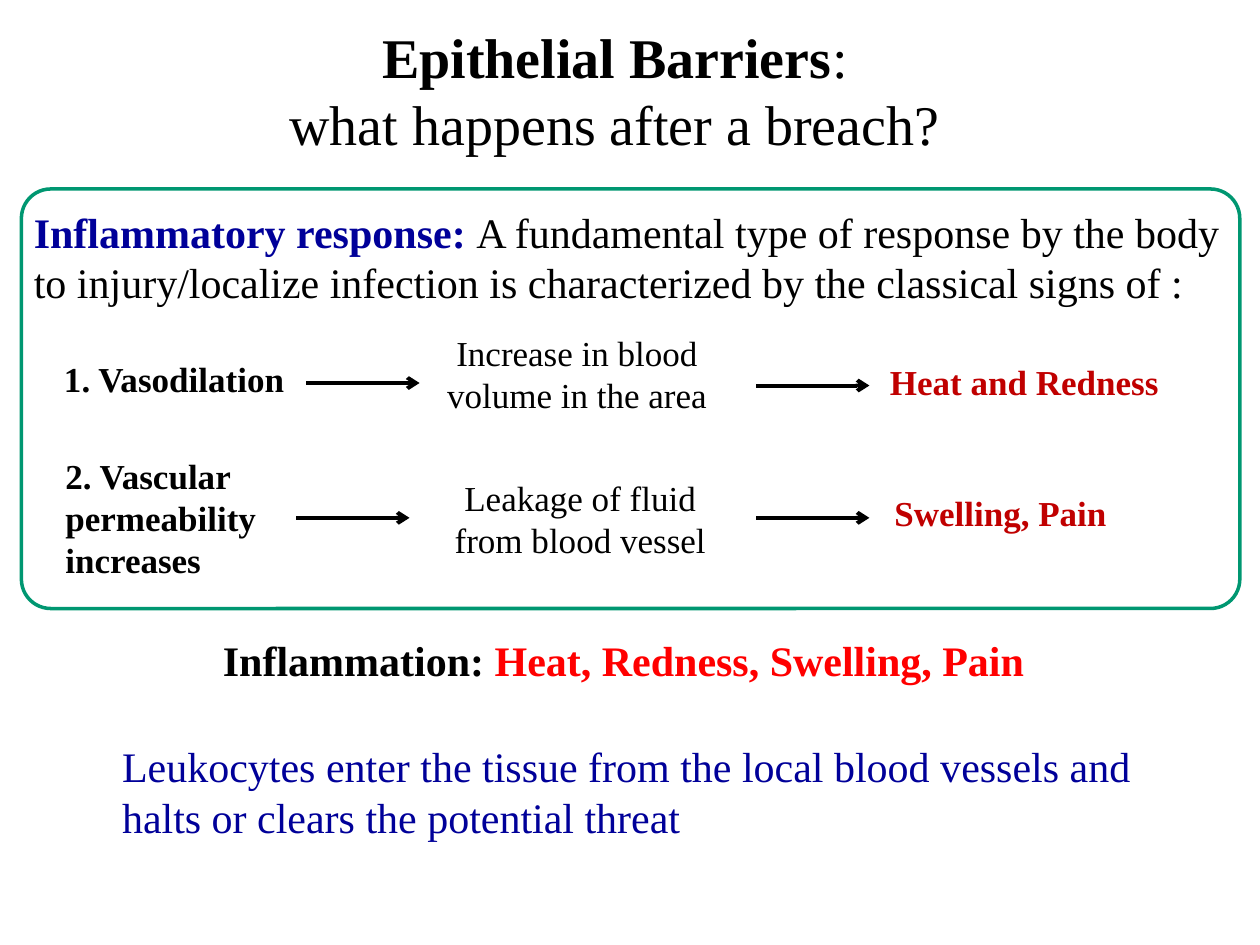
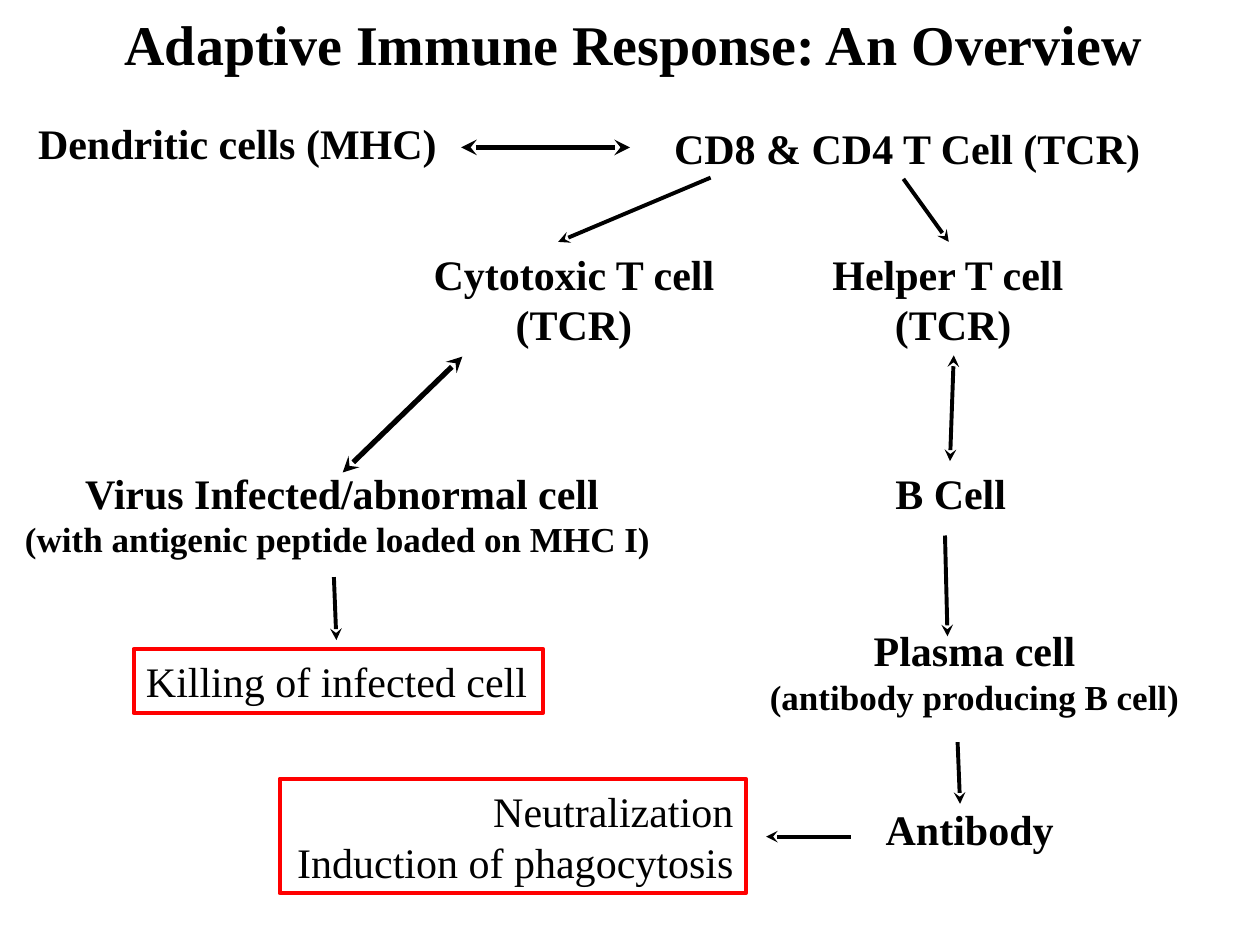
"""Build two immunology slides: the inflammatory response and the adaptive immune response."""
from dataclasses import dataclass

from lxml.etree import SubElement
from pptx import Presentation
from pptx.dml.color import RGBColor
from pptx.enum.shapes import MSO_CONNECTOR as Connector, MSO_SHAPE as Preset
from pptx.enum.text import MSO_AUTO_SIZE as AutoSize, PP_ALIGN as Align
from pptx.oxml.ns import qn
from pptx.util import Pt


@dataclass(frozen=True)
class Theme:
    font: str = "Times New Roman"
    black: str = "000000"
    green: str = "009771"
    red: str = "FF0000"
    title: tuple = (32, "000000", True)
    subtitle: tuple = (32, "000000", False)
    body: tuple = (24, "000000", False)
    strong: tuple = (24, "000000", True)
    term: tuple = (24, "000099", True)
    remark: tuple = (24, "000099", False)
    signs: tuple = (24, "FF0000", True)
    step: tuple = (20, "000000", False)
    strong_step: tuple = (20, "000000", True)
    outcome: tuple = (20, "C00000", True)


theme = Theme()
PX = 9144


def place(page, at, lines, align=Align.LEFT, wrap=False, preset=None, outline=None, weight=2.25):
    """Place styled text in a text box, or in an outlined preset shape."""
    bounds = [value * PX for value in at]
    if preset is None:
        box = page.shapes.add_textbox(*bounds)
    else:
        box = page.shapes.add_shape(preset, *bounds)
        box.shadow.inherit = False
        box.fill.background()
        box.line.color.rgb = RGBColor.from_string(outline)
        box.line.width = Pt(weight)
    if not lines:
        return box
    frame = box.text_frame
    frame.word_wrap = wrap
    frame.auto_size = AutoSize.SHAPE_TO_FIT_TEXT
    for index, spans in enumerate(lines):
        para = frame.add_paragraph() if index else frame.paragraphs[0]
        para.alignment = align
        for text, (size, colour, bold) in spans:
            span = para.add_run()
            span.text = text
            span.font.name = theme.font
            span.font.size = Pt(size)
            span.font.bold = bold
            span.font.color.rgb = RGBColor.from_string(colour)
    return box


def arrow(page, ends, tip, weight=2.25, double=False):
    """Draw an arrow to the second end, or to both ends."""
    link = page.shapes.add_connector(Connector.STRAIGHT, *[value * PX for value in ends])
    link.line.color.rgb = RGBColor.from_string(theme.black)
    link.line.width = Pt(weight)
    outline = link.line._get_or_add_ln()
    for tag in ("a:headEnd", "a:tailEnd") if double else ("a:tailEnd",):
        SubElement(outline, qn(tag), type=tip)
    SubElement(link._element.spPr, qn("a:effectLst"))


deck = Presentation()
deck.slide_width, deck.slide_height = 1000 * PX, 750 * PX
blank = deck.slide_layouts[6]

page = deck.slides.add_slide(blank)
place(page, (92, 13, 792, 117), [
    [("Epithelial Barriers", theme.title), (":", theme.subtitle)],
    [("what happens after a breach?", theme.subtitle)],
], Align.CENTER, True)
place(page, (17, 159, 967, 91), [[
    ("Inflammatory response: ", theme.term),
    ("A fundamental type of response by the body to injury/localize infection "
     "is characterized by the classical signs of :", theme.body),
]], wrap=True)

steps = [
    ((41, 279, 203, 44), "1. Vasodilation", theme.strong_step, Align.LEFT, False),
    ((308, 258, 300, 77), "Increase in blood volume in the area", theme.step, Align.CENTER, True),
    ((692, 281, 242, 44), "Heat and Redness", theme.outcome, Align.CENTER, True),
    ((42, 356, 192, 111), "2. Vascular permeability increases", theme.strong_step, Align.LEFT, True),
    ((330, 373, 261, 77), "Leakage of fluid from blood vessel", theme.step, Align.CENTER, True),
    ((700, 385, 190, 44), "Swelling, Pain", theme.outcome, Align.LEFT, False),
]
for at, text, style, align, wrap in steps:
    place(page, at, [[(text, style)]], align, wrap)
for left, top in [(243, 304), (600, 306), (235, 411), (600, 411)]:
    arrow(page, (left, top, left + 90, top), "arrow")

place(page, (167, 499, 662, 51), [[
    ("Inflammation: ", theme.strong), ("Heat, Redness, Swelling, Pain", theme.signs),
]])
place(page, (87, 583, 838, 91), [[
    ("Leukocytes enter the tissue from the local blood vessels and halts or clears "
     "the potential threat", theme.remark),
]], wrap=True)
response_frame = place(page, (17, 150, 967, 333), [], preset=Preset.ROUNDED_RECTANGLE,
                       outline=theme.green, weight=2)
response_frame.adjustments[0] = 0.07

page = deck.slides.add_slide(blank)
place(page, (89, 3, 836, 64), [[("Adaptive Immune Response: An Overview", theme.title)]])

cells = [
    ((15, 88, 347, 51), ["Dendritic cells (MHC)"], ""),
    ((523, 92, 394, 51), ["CD8 & CD4 T Cell (TCR)"], ""),
    ((333, 192, 245, 91), ["Cytotoxic T cell", "(TCR)"], ""),
    ((650, 192, 213, 91), ["Helper T cell ", "(TCR)"], ""),
    ((8, 366, 527, 84), ["Virus Infected/abnormal cell"], "(with antigenic peptide loaded on MHC I) "),
    ((700, 366, 109, 51), ["B Cell"], ""),
    ((600, 491, 347, 84), ["Plasma cell"], "(antibody producing B cell)"),
    ((692, 633, 155, 51), ["Antibody"], ""),
]
for at, names, detail in cells:
    lines = [[(name, theme.strong)] for name in names]
    if detail:
        lines.append([(detail, theme.strong_step)])
    place(page, at, lines, Align.CENTER)

effects = [
    ((106, 515, 325, 51), ["Killing of infected cell"], Align.LEFT),
    ((222, 618, 370, 91), ["Neutralization", "Induction of phagocytosis"], Align.RIGHT),
]
for at, names, align in effects:
    place(page, at, [[(name, theme.body)] for name in names], align,
          preset=Preset.RECTANGLE, outline=theme.red)

for ends, weight in [((366, 117, 500, 117), 3), ((272, 375, 367, 283), 3), ((757, 282, 754, 366), 2.25)]:
    arrow(page, ends, "stealth", weight, double=True)
for ends in [
    (717, 142, 753, 192), (564, 141, 443, 192), (265, 458, 267, 508),
    (750, 425, 752, 505), (760, 589, 762, 638), (675, 664, 608, 664),
]:
    arrow(page, ends, "stealth")

deck.save("out.pptx")
